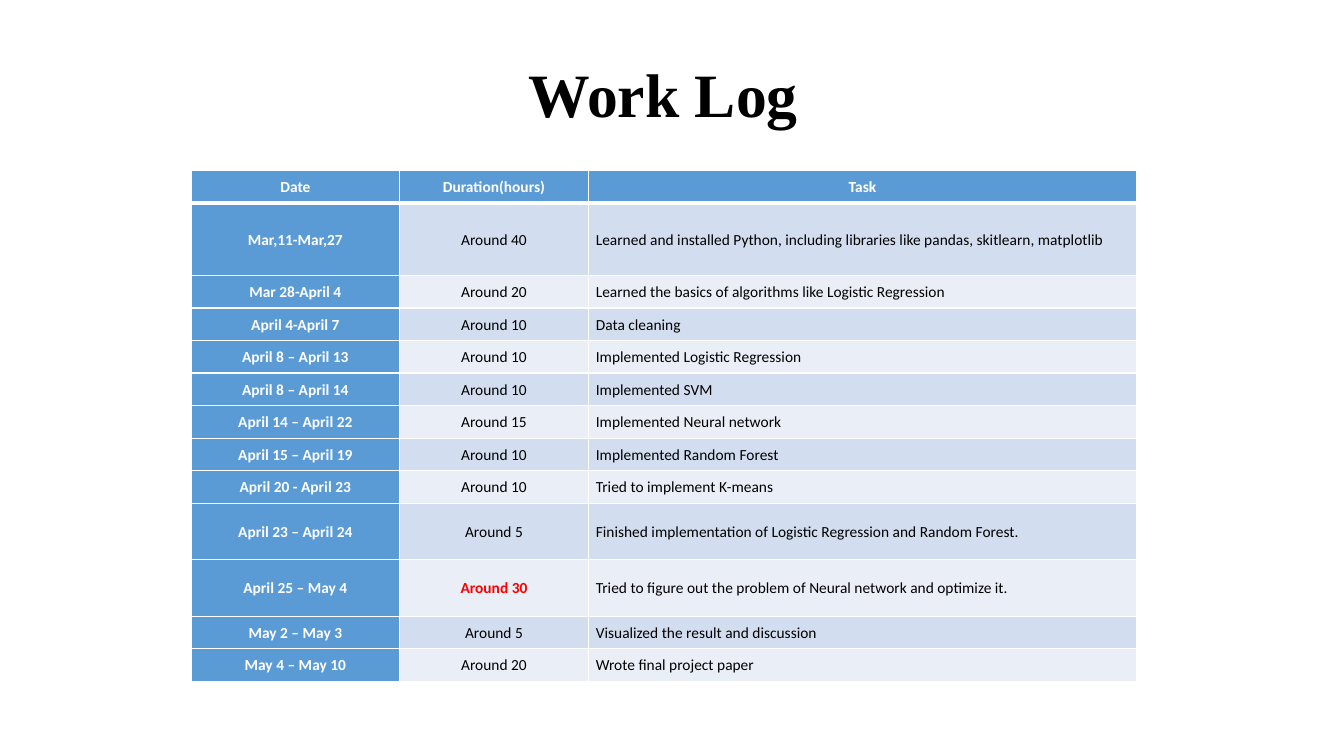
import pptx
import pptx.util
import pptx.dml.color
import pptx.enum.text
import pptx.oxml
import pptx.oxml.ns

Inch = pptx.util.Inches
Align = pptx.enum.text.PP_ALIGN
Mid = pptx.enum.text.MSO_ANCHOR.MIDDLE


def color(code):
    return pptx.dml.color.RGBColor.from_string(code)


def edge(cell, sides, points):
    props = cell._tc.get_or_add_tcPr()
    for spot, side in enumerate(sides):
        line = pptx.oxml.parse_xml(
            f'<a:ln{side} {pptx.oxml.ns.nsdecls("a")} w="{pptx.util.Pt(points)}">'
            '<a:solidFill><a:srgbClr val="FFFFFF"/></a:solidFill>'
            f'</a:ln{side}>')
        props.insert(spot, line)


deck = pptx.Presentation()
deck.slide_width, deck.slide_height = Inch(13.33), Inch(7.5)
slide = deck.slides.add_slide(deck.slide_layouts[6])

# Title
title = slide.shapes.add_textbox(Inch(0.83), Inch(0.24), Inch(11.5), Inch(1.45))
frame = title.text_frame
frame.word_wrap = True
frame.vertical_anchor = Mid
para = frame.paragraphs[0]
para.text = "Work Log"
para.alignment = Align.CENTER
para.line_spacing = 0.9
para.font.name = "Times New Roman"
para.font.size = pptx.util.Pt(44)
para.font.bold = True
para.font.color.rgb = color("000000")

# Log entries
log = [
    ("Date", "Duration(hours)", "Task"),
    ("Mar,11-Mar,27", "Around 40",
     "Learned and installed Python, including libraries like pandas, skitlearn, matplotlib"),
    ("Mar 28-April 4", "Around 20",
     "Learned the basics of algorithms like Logistic Regression"),
    ("April 4-April 7", "Around 10", "Data cleaning"),
    ("April 8 – April 13", "Around 10", "Implemented Logistic Regression"),
    ("April 8 – April 14", "Around 10", "Implemented SVM"),
    ("April 14 – April 22", "Around 15", "Implemented Neural network"),
    ("April 15 – April 19", "Around 10", "Implemented Random Forest"),
    ("April 20 - April 23", "Around 10", "Tried to implement K-means"),
    ("April 23 – April 24", "Around 5",
     "Finished implementation of Logistic Regression and Random Forest."),
    ("April 25 – May 4", "Around 30",
     "Tried to figure out the problem of Neural network and optimize it."),
    ("May 2 – May 3", "Around 5", "Visualized the result and discussion"),
    ("May 4 – May 10", "Around 20", "Wrote final project paper"),
]

# Table grid: a few tall rows, the rest share the remaining height
wide, high = 9.37, 5.07
tall = {1: 0.72, 9: 0.56, 10: 0.56}
short = (high - sum(tall.values())) / (len(log) - len(tall))
table = slide.shapes.add_table(
    len(log), 3, Inch(1.9), Inch(1.69), Inch(wide), Inch(high)).table
for col, width in zip(table.columns, (2.06, 1.88, wide - 2.06 - 1.88)):
    col.width = Inch(width)

# Table cells
for r, entry in enumerate(log):
    table.rows[r].height = Inch(tall.get(r, short))
    for c, text in enumerate(entry):
        cell = table.cell(r, c)
        head = r == 0 or c == 0
        alert = text == "Around 30"
        cell.fill.solid()
        cell.fill.fore_color.rgb = color(
            "5B9BD5" if head else "D2DEEF" if r % 2 else "EAEFF7")
        edge(cell, "LRTB", 1)
        if r < 2:
            side = "B" if r == 0 else "T"
            props = cell._tc.tcPr
            props.find(pptx.oxml.ns.qn(f"a:ln{side}")).set("w", str(pptx.util.Pt(3)))
        cell.vertical_anchor = Mid
        cell.margin_left = cell.margin_right = Inch(0.07)
        cell.margin_top = cell.margin_bottom = 0
        para = cell.text_frame.paragraphs[0]
        para.text = text
        para.alignment = Align.JUSTIFY if c == 2 and r else Align.CENTER
        para.line_spacing = 1.07
        para.font.name = "Calibri"
        para.font.size = pptx.util.Pt(11)
        para.font.bold = head or alert
        para.font.color.rgb = color(
            "FFFFFF" if head else "FF0000" if alert else "000000")

deck.save("out.pptx")
